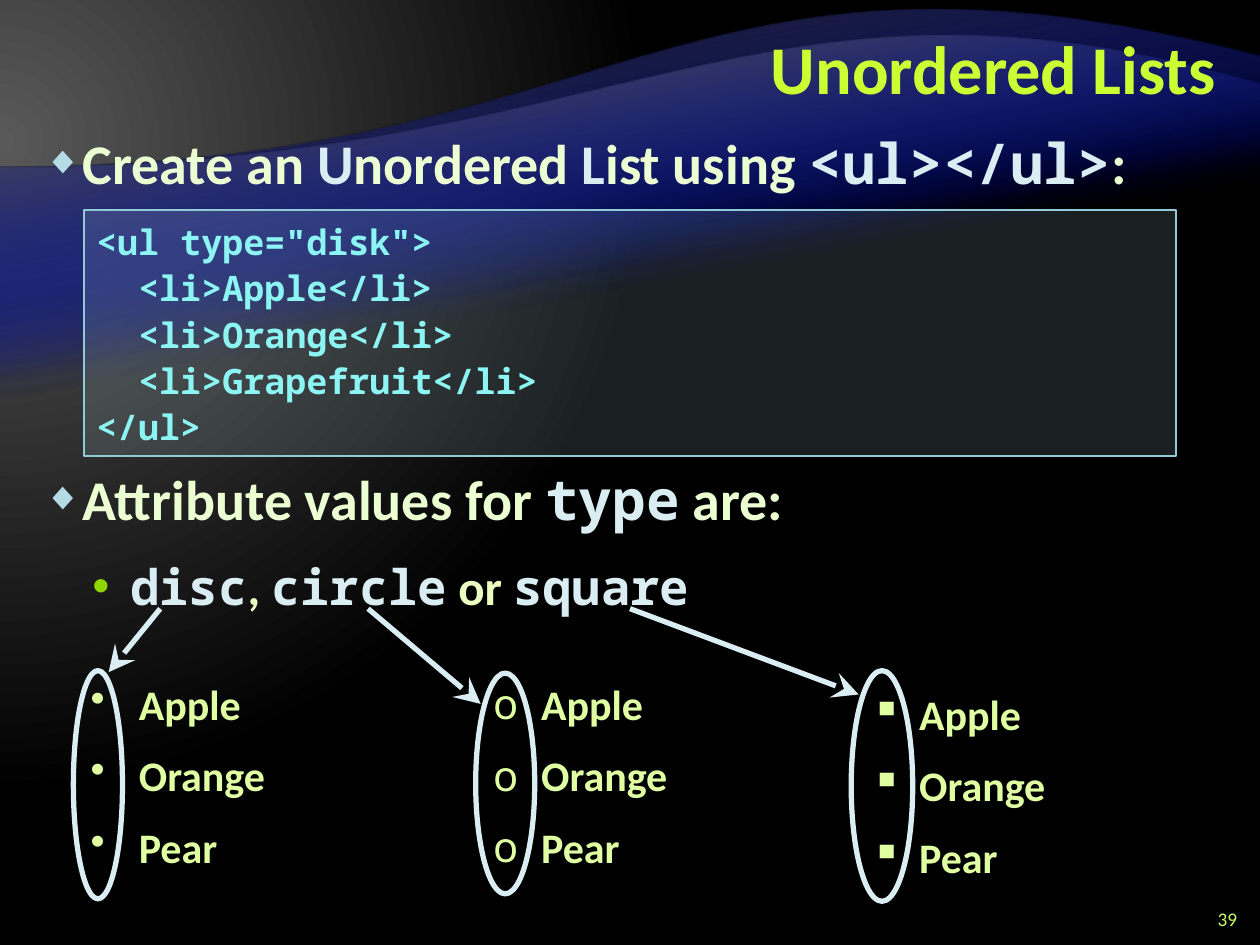
from dataclasses import dataclass

from lxml.etree import SubElement
from pptx import Presentation
from pptx.dml.color import RGBColor
from pptx.enum.shapes import MSO_CONNECTOR, MSO_SHAPE
from pptx.enum.text import MSO_ANCHOR, MSO_AUTO_SIZE, PP_ALIGN
from pptx.oxml import parse_xml
from pptx.oxml.ns import nsdecls, qn
from pptx.util import Cm, Pt


@dataclass(frozen=True)
class Theme:
    text_font: str = "Calibri"
    code_font: str = "Noto Sans Mono"
    title: str = "CCFF33"
    body: str = "EBFFD2"
    detail: str = "EBFFC2"
    fruit: str = "E0FFA3"
    accent: str = "DAEDF2"
    code: str = "8CF4F2"
    number: str = "CCFF66"
    diamond: str = "B5DBE5"
    dot: str = "8FD600"
    code_border: str = "90CAD7"
    wave_blue: str = "000D9E"
    dark_gray: str = "262626"
    gray: str = "595959"
    black: str = "000000"
    title_size: int = 39
    body_size: int = 32
    detail_size: int = 28
    fruit_size: int = 24
    code_size: int = 20
    number_size: int = 11


THEME = Theme()


def place(shape, box):
    shape.left, shape.top, shape.width, shape.height = (Cm(value) for value in box)


def add_run(paragraph, text, size, color, font=THEME.text_font, bold=True):
    run = paragraph.add_run()
    run.text = text
    run.font.name = font
    run.font.size = Pt(size)
    run.font.bold = bold
    run.font.color.rgb = RGBColor.from_string(color)


def add_bullet(paragraph, character, margin, hanging, color=None, percent=None, font=None):
    properties = paragraph._p.get_or_add_pPr()
    properties.set("marL", str(Cm(margin)))
    properties.set("indent", str(-Cm(hanging)))
    if color:
        SubElement(SubElement(properties, qn("a:buClr")), qn("a:srgbClr"), val=color)
    if percent:
        SubElement(properties, qn("a:buSzPct"), val=str(percent * 1000))
    if font:
        SubElement(properties, qn("a:buFont"), typeface=font)
    SubElement(properties, qn("a:buChar"), char=character)


def set_gradient(fill, parent, stops, direction):
    """Stops are (position in percent, color, opacity in percent)."""
    fill.solid()
    stop_xml = "".join(
        f'<a:gs pos="{position * 1000}"><a:srgbClr val="{color}">'
        f'<a:alpha val="{opacity * 1000}"/></a:srgbClr></a:gs>'
        for position, color, opacity in stops)
    gradient = parse_xml(f'<a:gradFill {nsdecls("a")} rotWithShape="1">'
                         f"<a:gsLst>{stop_xml}</a:gsLst>{direction}</a:gradFill>")
    parent.replace(parent.find(qn("a:solidFill")), gradient)


def set_background(slide):
    fill = slide.background.fill
    set_gradient(fill, get_background_properties(slide),
                 [(0, THEME.gray, 100), (83, THEME.black, 100)],
                 '<a:path path="circle"><a:fillToRect l="20000" t="30000" '
                 'r="135000" b="100000"/></a:path>')


def get_background_properties(slide):
    return slide.element.find(".//" + qn("p:bgPr"))


def add_wave(slide, box, left_edge, controls, color):
    """Fill the box below a cubic curve from its left edge to its top right corner."""
    left, top, width, height = box

    def turned(x, y):  # the shape is drawn upside down, then rotated
        return Cm(width - x), Cm(height - y)

    start, *corners = (turned(*point) for point in
                       [(0, left_edge), (width, 0), (width, height), (0, height)])
    builder = slide.shapes.build_freeform(*start)
    builder.add_line_segments(corners, close=True)
    wave = builder.convert_to_shape(Cm(left), Cm(top))
    # Bend the first side into the curve
    side = wave.element.spPr.find(".//" + qn("a:lnTo"))
    curve = parse_xml(f'<a:cubicBezTo {nsdecls("a")}/>')
    for x, y in [turned(*point) for point in controls] + corners[:1]:
        SubElement(curve, qn("a:pt"), x=str(x), y=str(y))
    side.getparent().replace(side, curve)
    place(wave, box)
    wave.rotation = 180
    wave.shadow.inherit = False
    wave.line.fill.background()
    set_gradient(wave.fill, wave.element.spPr,
                 [(65, THEME.wave_blue, 0), (100, color, 100)],
                 f'<a:lin ang="{80 * 60000}" scaled="0"/>')


def add_title(slide, box):
    title = slide.shapes.title
    slide.shapes.element.append(title.element)  # in front of the waves
    place(title, box)
    frame = title.text_frame
    frame.vertical_anchor = MSO_ANCHOR.MIDDLE
    frame.auto_size = MSO_AUTO_SIZE.NONE
    paragraph = frame.paragraphs[0]
    paragraph.alignment = PP_ALIGN.RIGHT
    paragraph.line_spacing = Pt(40)
    add_run(paragraph, "Unordered Lists", THEME.title_size, THEME.title)


def add_body(slide, box):
    body = slide.placeholders[1]
    slide.shapes.element.append(body.element)
    place(body, box)
    frame = body.text_frame
    frame.auto_size = MSO_AUTO_SIZE.NONE
    plain, accent = (THEME.body, THEME.text_font), (THEME.accent, THEME.text_font)
    code, detail = (THEME.accent, THEME.code_font), (THEME.detail, THEME.text_font)
    # Level, space before, runs; the second item leaves room for the code box
    items = [
        (0, 0, [("Create an ", plain), ("U", accent), ("nordered ", plain), ("L", accent),
                ("ist using ", plain), ("<ul></ul>", code), (":", plain)]),
        (0, 150, [("Attribute values for ", plain), ("type", code), (" are:", plain)]),
        (1, 6, [("disc", code), (", ", detail), ("circle", code), (" or ", detail),
                ("square", code)]),
    ]
    bullets = [("◆", 0.79, 0.79, THEME.diamond, 70), ("•", 1.75, 0.76, THEME.dot)]
    sizes = [THEME.body_size, THEME.detail_size]
    for index, (level, space_before, runs) in enumerate(items):
        paragraph = frame.add_paragraph() if index else frame.paragraphs[0]
        paragraph.level = level
        paragraph.line_spacing = Pt(36)
        paragraph.space_before = Pt(space_before)
        paragraph.space_after = Pt(6)
        add_bullet(paragraph, *bullets[level])
        for text, (color, font) in runs:
            add_run(paragraph, text, sizes[level], color, font)


def add_code(slide, box):
    panel = slide.shapes.add_shape(MSO_SHAPE.RECTANGLE, *(Cm(value) for value in box))
    panel.shadow.inherit = False
    panel.fill.solid()
    panel.fill.fore_color.rgb = RGBColor.from_string(THEME.diamond)
    SubElement(panel.element.spPr.find(qn("a:solidFill"))[0], qn("a:alpha"), val="15000")
    panel.line.color.rgb = RGBColor.from_string(THEME.code_border)
    panel.line.width = Pt(1)
    frame = panel.text_frame
    frame.vertical_anchor = MSO_ANCHOR.TOP
    lines = ['<ul type="disk">', "  <li>Apple</li>", "  <li>Orange</li>",
             "  <li>Grapefruit</li>", "</ul>"]
    for index, line in enumerate(lines):
        paragraph = frame.add_paragraph() if index else frame.paragraphs[0]
        paragraph.alignment = PP_ALIGN.LEFT
        paragraph.line_spacing = 1.1
        add_run(paragraph, line, THEME.code_size, THEME.code, THEME.code_font)


def set_accent_line(line):
    line.color.rgb = RGBColor.from_string(THEME.accent)
    line.width = Pt(3)


def add_example(slide, box, bullet, bullet_font, ring, arrow_start, arrow_tip):
    """A fruit list; ring and arrow tip are offsets from the box corner."""
    left, top, width, height = box
    # Arrow from the attribute value
    arrow = slide.shapes.add_connector(
        MSO_CONNECTOR.STRAIGHT, *(Cm(value) for value in arrow_start),
        Cm(left + arrow_tip[0]), Cm(top + arrow_tip[1]))
    set_accent_line(arrow.line)
    SubElement(arrow.line._get_or_add_ln(), qn("a:tailEnd"), type="stealth", w="lg", len="lg")
    SubElement(arrow.element.spPr, qn("a:effectLst"))
    # List
    frame = slide.shapes.add_textbox(*(Cm(value) for value in box)).text_frame
    frame.word_wrap = True
    for index, fruit in enumerate(["Apple", "Orange", "Pear"]):
        paragraph = frame.add_paragraph() if index else frame.paragraphs[0]
        paragraph.space_before = Pt(12 if index else 0)
        add_bullet(paragraph, bullet, 0.97, 0.97, font=bullet_font)
        add_run(paragraph, fruit, THEME.fruit_size, THEME.fruit)
    # Ring around the bullets
    x, y, ring_width, ring_height = ring
    ellipse = slide.shapes.add_shape(MSO_SHAPE.OVAL, Cm(left + x), Cm(top + y),
                                     Cm(ring_width), Cm(ring_height))
    ellipse.shadow.inherit = False
    ellipse.fill.background()
    set_accent_line(ellipse.line)


def add_number(slide, box):
    frame = slide.shapes.add_textbox(*(Cm(value) for value in box)).text_frame
    frame.word_wrap = True
    frame.vertical_anchor = MSO_ANCHOR.MIDDLE
    paragraph = frame.paragraphs[0]
    paragraph.alignment = PP_ALIGN.RIGHT
    add_run(paragraph, "39", THEME.number_size, THEME.number, bold=False)


def main():
    presentation = Presentation()
    presentation.slide_width, presentation.slide_height = Cm(25.4), Cm(19.05)
    slide = presentation.slides.add_slide(presentation.slide_layouts[1])
    slide.background.fill.solid()
    set_background(slide)
    for _ in range(2):
        add_wave(slide, (0, 1.14, 25.4, 15.44), 2.24, [(12.7, 2.24), (13.56, -3.05)],
                 THEME.dark_gray)
        add_wave(slide, (0, 1.7, 25.4, 12.45), 1.68, [(12.7, 1.68), (15.19, -2.95)], THEME.gray)
    add_title(slide, (5.08, 0.2, 19.69, 2.54))
    add_body(slide, (0.62, 2.54, 24.13, 16.08))
    add_number(slide, (23.92, 18.21, 1.27, 0.64))
    add_example(slide, (1.58, 13.55, 4.65, 4.37), "•", None,
                (-0.1, -0.03, 0.99, 4.6), (3.23, 12.27), (0.61, 0))
    add_example(slide, (9.69, 13.55, 5.28, 4.37), "o", THEME.code_font,
                (-0.1, 0.02, 1.19, 4.45), (7.42, 12.27), (0, 0.64))
    add_example(slide, (17.31, 13.75, 5.28, 4.37), "▪", None,
                (-0.15, -0.23, 1.24, 4.65), (12.7, 12.27), (0, 0.25))
    add_code(slide, (1.69, 4.24, 22.02, 4.95))
    presentation.save("out.pptx")


if __name__ == "__main__":
    main()
